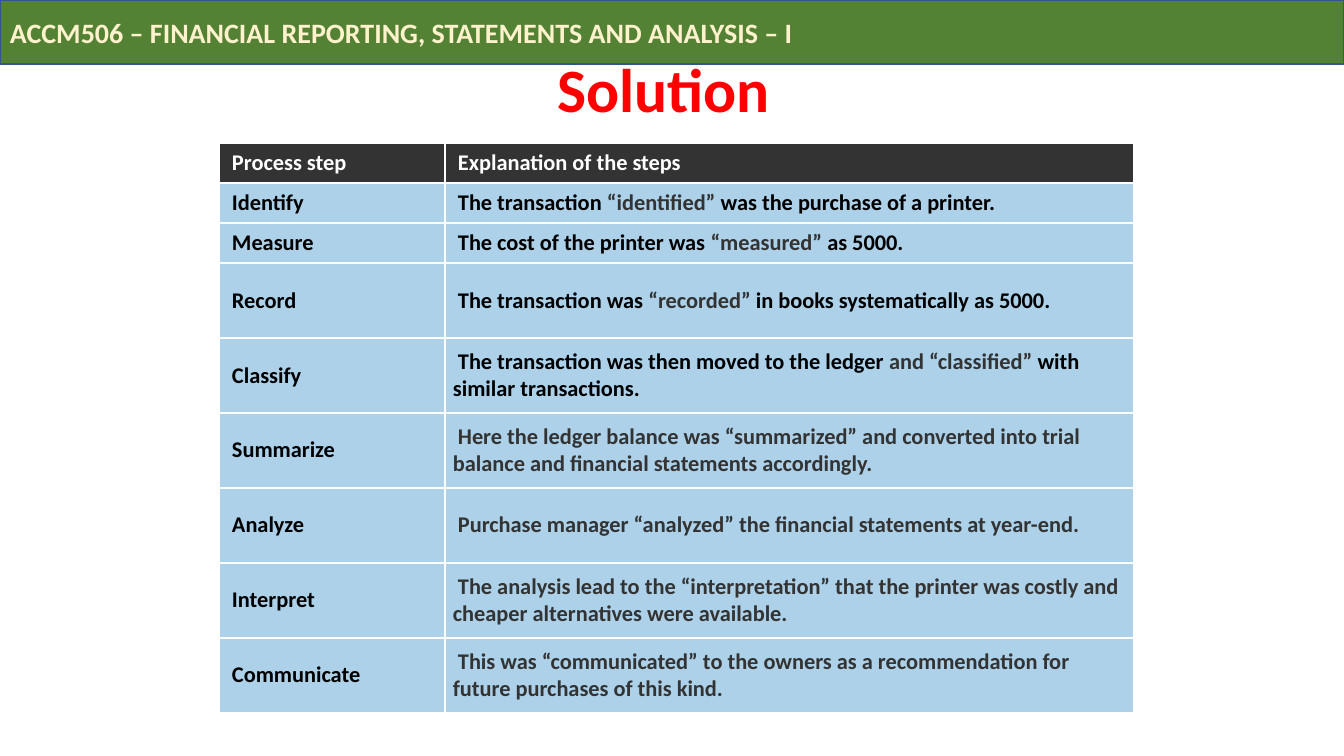
from itertools import cycle

from lxml import etree
from pptx import Presentation, util as u
from pptx.dml.color import RGBColor
from pptx.enum import shapes, text
from pptx.oxml.ns import qn

COURSE = "ACCM506 – FINANCIAL REPORTING, STATEMENTS AND ANALYSIS – I"
HEADING = "Solution"
HEADER = (" Process step", " Explanation of the steps")
BLACK, GREY, WHITE, SKY = "000000", "333333", "FFFFFF", "ACD1E9"

# runs alternate between BLACK and GREY
STEPS = [
    (" Identify", (" The transaction ", "“identified”", " was the purchase of a printer.")),
    (" Measure", (" The cost of the printer was ", "“measured”", " as 5000.")),
    (" Record", (" The transaction was ", "“recorded”", " in books systematically as 5000.")),
    (" Classify", (" The transaction was then moved to the ledger ", "and “classified”",
                   " with similar transactions.")),
    (" Summarize", ("", " Here the ledger balance was “summarized” and converted into trial "
                        "balance and financial statements accordingly.")),
    (" Analyze", ("", " Purchase manager “analyzed” the financial statements at year-end.")),
    (" Interpret", ("", " The analysis lead to the “interpretation” that the printer was costly "
                        "and cheaper alternatives were available.")),
    (" Communicate", ("", " This was “communicated” to the owners as a recommendation for "
                          "future purchases of this kind.")),
]

SLIDE = (1344, 756)
BAND_BOX = (0, 0, 1344, 64)
HEADING_BOX = (210, 25, 907, 126)
TABLE_AT = (219, 143)
COLUMNS = (226, 689)
SHORT_ROW, TALL_ROW, SHORT_ROWS = 40, 75, 3


def px(value):
    return u.Emu(round(value * 914400 / 100.8))


def rgb(value):
    return RGBColor.from_string(value)


def write(paragraph, words, size=16, color=BLACK, align=text.PP_ALIGN.LEFT):
    paragraph.alignment = align
    run = paragraph.add_run()
    run.text = words
    run.font.name = "Calibri"
    run.font.size = u.Pt(size)
    run.font.bold = True
    run.font.color.rgb = rgb(color)


def add_borders(cell):
    properties = cell._tc.get_or_add_tcPr()
    for position, side in enumerate(("lnL", "lnR", "lnT", "lnB")):
        line = etree.Element(qn("a:" + side), w=str(u.Pt(1.5)))
        fill = etree.SubElement(line, qn("a:solidFill"))
        etree.SubElement(fill, qn("a:srgbClr"), val=WHITE)
        properties.insert(position, line)


def fill_cell(cell, runs, fill):
    cell.vertical_anchor = text.MSO_ANCHOR.MIDDLE
    cell.margin_left = cell.margin_right = px(8)
    cell.margin_top = cell.margin_bottom = px(2)
    cell.fill.solid()
    cell.fill.fore_color.rgb = rgb(fill)
    add_borders(cell)
    for words, color in runs:
        if words:
            write(cell.text_frame.paragraphs[0], words, color=color)


def add_band(slide):
    band = slide.shapes.add_shape(shapes.MSO_SHAPE.RECTANGLE, *map(px, BAND_BOX))
    band.shadow.inherit = False
    band.fill.solid()
    band.fill.fore_color.rgb = rgb("548235")
    band.line.color.rgb = rgb("325491")
    band.line.width = u.Pt(1)
    band.text_frame.vertical_anchor = text.MSO_ANCHOR.MIDDLE
    write(band.text_frame.paragraphs[0], COURSE, size=20, color="FFF2CC")


def add_heading(slide):
    heading = slide.shapes.title
    heading.left, heading.top, heading.width, heading.height = map(px, HEADING_BOX)
    frame = heading.text_frame
    frame.word_wrap = True
    frame.auto_size = text.MSO_AUTO_SIZE.NONE
    frame.vertical_anchor = text.MSO_ANCHOR.MIDDLE
    write(frame.paragraphs[0], HEADING, size=44, color="FF0000", align=text.PP_ALIGN.CENTER)


def add_steps(slide):
    heights = [SHORT_ROW if row < SHORT_ROWS else TALL_ROW for row in range(len(STEPS) + 1)]
    size = (sum(COLUMNS), sum(heights))
    steps = slide.shapes.add_table(len(heights), len(COLUMNS), *map(px, TABLE_AT + size)).table
    for column, width in zip(steps.columns, COLUMNS):
        column.width = px(width)
    for row, height in zip(steps.rows, heights):
        row.height = px(height)
    for column, label in enumerate(HEADER):
        fill_cell(steps.cell(0, column), [(label, WHITE)], GREY)
    for row, (step, explanation) in enumerate(STEPS, 1):
        fill_cell(steps.cell(row, 0), [(step, BLACK)], SKY)
        fill_cell(steps.cell(row, 1), zip(explanation, cycle((BLACK, GREY))), SKY)


def main():
    deck = Presentation()
    deck.slide_width, deck.slide_height = map(px, SLIDE)
    slide = deck.slides.add_slide(deck.slide_layouts[5])
    add_band(slide)
    add_steps(slide)
    add_heading(slide)
    deck.save("out.pptx")


if __name__ == "__main__":
    main()
